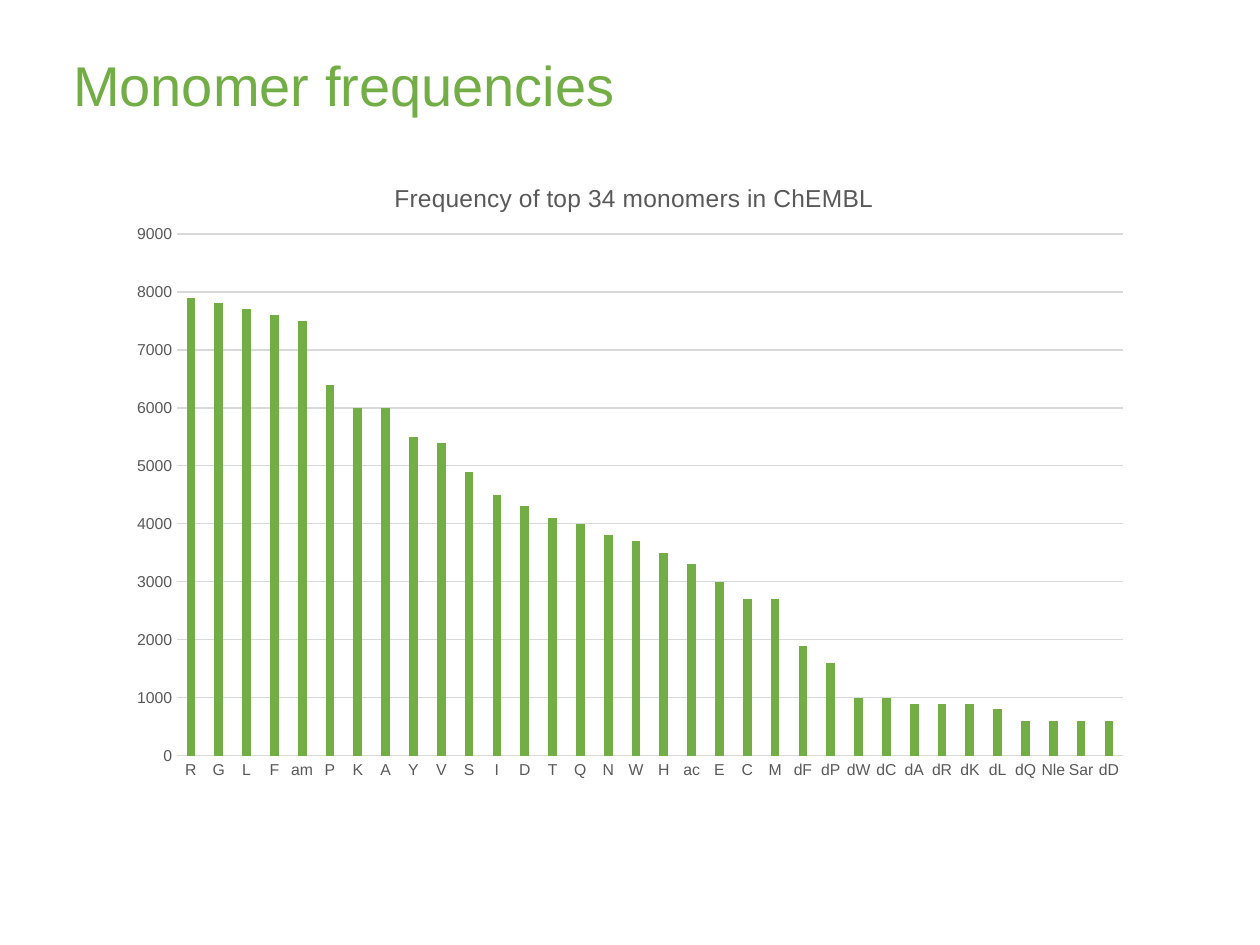
from lxml.etree import SubElement
from pptx import Presentation
from pptx.chart.data import CategoryChartData
from pptx.dml.color import RGBColor
from pptx.enum.chart import XL_CHART_TYPE, XL_TICK_MARK
from pptx.enum.text import MSO_ANCHOR, PP_ALIGN
from pptx.oxml.ns import qn
from pptx.util import Emu, Pt

TITLE = "Monomer frequencies"
CHART_TITLE = "Frequency of top 34 monomers in ChEMBL"
FREQUENCIES = {
    "R": 7900, "G": 7800, "L": 7700, "F": 7600, "am": 7500, "P": 6400, "K": 6000,
    "A": 6000, "Y": 5500, "V": 5400, "S": 4900, "I": 4500, "D": 4300, "T": 4100,
    "Q": 4000, "N": 3800, "W": 3700, "H": 3500, "ac": 3300, "E": 3000, "C": 2700,
    "M": 2700, "dF": 1900, "dP": 1600, "dW": 1000, "dC": 1000, "dA": 900, "dR": 900,
    "dK": 900, "dL": 800, "dQ": 600, "Nle": 600, "Sar": 600, "dD": 600,
}

THEME = {
    "font": "Arial",
    "green": RGBColor(0x72, 0xAD, 0x46),
    "grey": RGBColor(0x59, 0x59, 0x59),
    "rule": RGBColor(0xD9, 0xD9, 0xD9),
    "title": 32, "chart_title": 14, "label": 9,
}

# Left, top, width, height in px
SLIDE_SIZE = (1260, 945)
TITLE_BOX = (73, 42, 1124, 105)
CHART_BOX = (116, 152, 1027, 640)
PLOT_BOX = (177, 234, 946, 522)
CHART_TITLE_AT = (390, 178)
EMU_PER_PX = 914400 / 126


def px(value):
    return Emu(round(value * EMU_PER_PX))


def set_values(target, values):
    for name, value in values.items():
        setattr(target, name, value)


def format_font(font, size, color):
    set_values(font, {"name": THEME["font"], "size": Pt(THEME[size]), "bold": False})
    font.color.rgb = THEME[color]


def format_rule(line):
    line.color.rgb = THEME["rule"]
    line.width = Pt(0.75)


def pin_layout(element, position, box, inner=False):
    """Fix a chart part at a slide position, as fractions of the chart box."""
    for old in element.findall(qn("c:layout")):
        element.remove(old)
    layout = SubElement(element, qn("c:layout"))
    element.insert(position, layout)
    manual = SubElement(layout, qn("c:manualLayout"))
    left, top, width, height = CHART_BOX
    settings = {"layoutTarget": "inner"} if inner else {}
    settings.update(xMode="edge", yMode="edge")
    fractions = [(box[0] - left) / width, (box[1] - top) / height]
    fractions += [length / whole for length, whole in zip(box[2:], (width, height))]
    settings.update(zip("xywh", (f"{fraction:.4f}" for fraction in fractions)))
    for name, value in settings.items():
        SubElement(manual, qn(f"c:{name}")).set("val", value)


def add_title(slide):
    title = slide.shapes.title
    set_values(title, dict(zip(("left", "top", "width", "height"), map(px, TITLE_BOX))))
    frame = title.text_frame
    set_values(frame, {
        "text": TITLE, "word_wrap": True, "vertical_anchor": MSO_ANCHOR.TOP,
        "margin_left": 0, "margin_right": 0, "margin_top": px(8), "margin_bottom": 0,
    })
    paragraph = frame.paragraphs[0]
    paragraph.alignment = PP_ALIGN.LEFT
    format_font(paragraph.runs[0].font, "title", "green")


def add_frequency_chart(slide):
    data = CategoryChartData()
    data.categories = list(FREQUENCIES)
    data.add_series("Series 1", list(FREQUENCIES.values()))
    chart = slide.shapes.add_chart(
        XL_CHART_TYPE.COLUMN_CLUSTERED, *map(px, CHART_BOX), data).chart
    set_values(chart, {"has_legend": False, "has_title": True})
    format_font(chart.font, "label", "grey")

    frame = chart.chart_title.text_frame
    frame.text = CHART_TITLE
    format_font(frame.paragraphs[0].runs[0].font, "chart_title", "grey")
    chart.chart_title.include_in_layout = False

    plot = chart.plots[0]
    set_values(plot, {"gap_width": 219, "overlap": -27, "vary_by_categories": False})
    fill = plot.series[0].format.fill
    fill.solid()
    fill.fore_color.rgb = THEME["green"]

    for axis in (chart.category_axis, chart.value_axis):
        set_values(axis, {"major_tick_mark": XL_TICK_MARK.NONE,
                          "minor_tick_mark": XL_TICK_MARK.NONE})
        format_font(axis.tick_labels.font, "label", "grey")
    format_rule(chart.category_axis.format.line)
    set_values(chart.value_axis, {"minimum_scale": 0, "maximum_scale": 9000,
                                  "major_unit": 1000, "has_major_gridlines": True})
    chart.value_axis.format.line.fill.background()
    format_rule(chart.value_axis.major_gridlines.format.line)

    chart_space = chart.element
    pin_layout(next(chart_space.iter(qn("c:title"))), 1, CHART_TITLE_AT)
    pin_layout(next(chart_space.iter(qn("c:plotArea"))), 0, PLOT_BOX, inner=True)


def main():
    presentation = Presentation()
    presentation.slide_width, presentation.slide_height = map(px, SLIDE_SIZE)
    slide = presentation.slides.add_slide(presentation.slide_layouts[5])
    add_title(slide)
    add_frequency_chart(slide)
    presentation.save("out.pptx")


if __name__ == "__main__":
    main()
